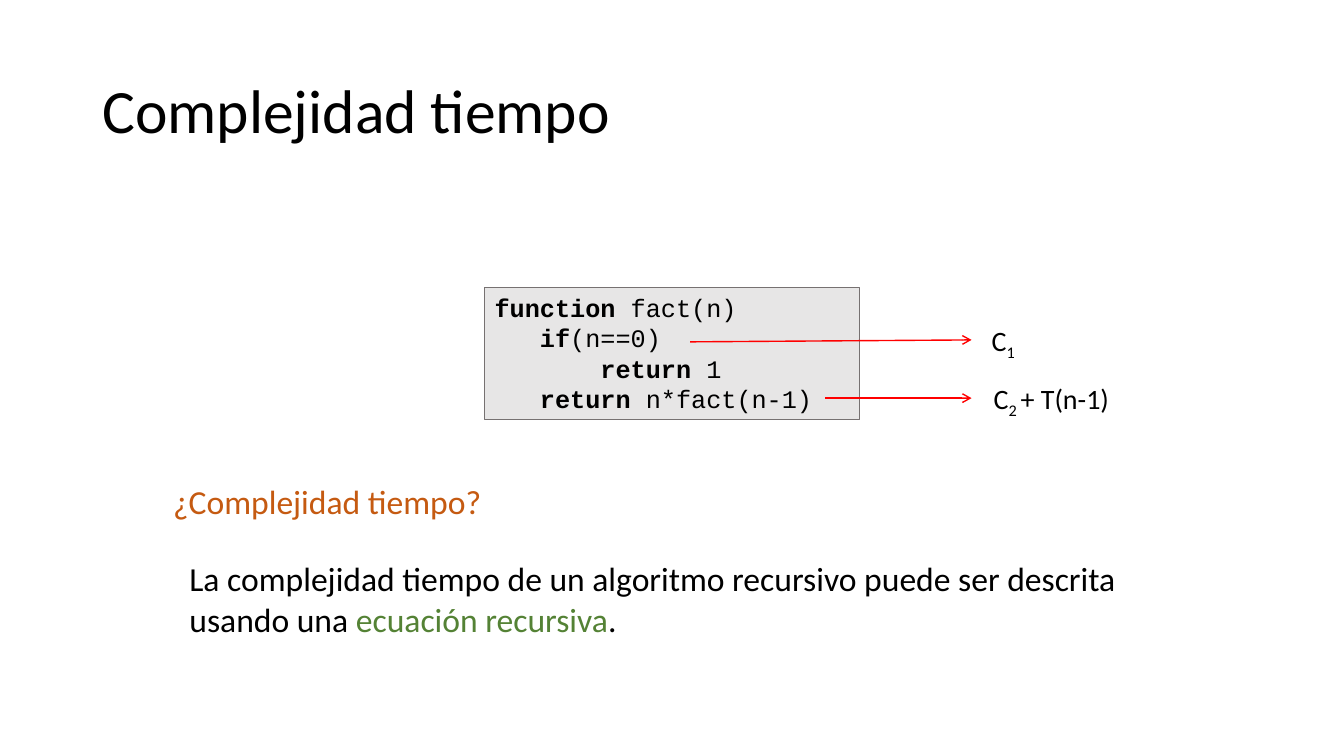
import pptx
import pptx.util
import pptx.dml.color
import pptx.enum.shapes
import pptx.enum.text
import pptx.oxml
import pptx.oxml.ns

Pt = pptx.util.Pt
Fit = pptx.enum.text.MSO_AUTO_SIZE
Anchor = pptx.enum.text.MSO_ANCHOR

COLORS = {
    "text": "000000", "panel": "E7E6E6", "border": "767171",
    "arrow": "FF0000", "question": "C55A11", "term": "548235",
}


class SlideBuilder:
    """Draws styled elements on the current slide."""

    def __init__(self, slide):
        self.slide = slide

    def color(self, name):
        return pptx.dml.color.RGBColor.from_string(COLORS[name])

    def fill_text(self, shape, lines, size, face="Calibri", anchor=Anchor.TOP,
                  wrap=True, fit=Fit.SHAPE_TO_FIT_TEXT):
        frame = shape.text_frame
        frame_format = {"word_wrap": wrap, "auto_size": fit, "vertical_anchor": anchor}
        for key, value in frame_format.items():
            setattr(frame, key, value)
        for index, line in enumerate(lines):
            paragraph = frame.add_paragraph() if index else frame.paragraphs[0]
            paragraph.alignment = pptx.enum.text.PP_ALIGN.LEFT
            for words, *style in line:
                run = paragraph.add_run()
                run.text = words
                font_format = {"name": face, "size": Pt(size), "bold": "bold" in style}
                for key, value in font_format.items():
                    setattr(run.font, key, value)
                tint = next((name for name in style if name in COLORS), "text")
                run.font.color.rgb = self.color(tint)
                if "sub" in style:
                    run.font._element.set("baseline", "-25000")

    def title(self, box, words):
        heading = self.slide.shapes.title
        for key, value in zip(("left", "top", "width", "height"), box):
            setattr(heading, key, Pt(value))
        self.fill_text(heading, [[(words,)]], 44, anchor=Anchor.MIDDLE, fit=Fit.NONE)
        heading.text_frame.paragraphs[0].line_spacing = 0.9

    def text(self, box, lines, size, wrap=True, parent=None):
        shapes = (parent or self.slide).shapes
        self.fill_text(shapes.add_textbox(*map(Pt, box)), lines, size, wrap=wrap)

    def code(self, box, lines):
        panel = self.slide.shapes.add_shape(
            pptx.enum.shapes.MSO_SHAPE.RECTANGLE, *map(Pt, box))
        panel.shadow.inherit = False
        panel.fill.solid()
        panel.fill.fore_color.rgb = self.color("panel")
        panel.line.color.rgb = self.color("border")
        panel.line.width = Pt(0.75)
        self.fill_text(panel, lines, 18, face="Courier New")

    def arrow(self, parent, start, end):
        connector = parent.shapes.add_connector(
            pptx.enum.shapes.MSO_CONNECTOR.STRAIGHT, *map(Pt, start + end))
        connector.line.color.rgb = self.color("arrow")
        connector.line.width = Pt(1)
        namespace = pptx.oxml.ns.nsdecls("a")
        connector.line._get_or_add_ln().append(
            pptx.oxml.parse_xml(f'<a:tailEnd {namespace} type="arrow"/>'))
        connector._element.spPr.append(
            pptx.oxml.parse_xml(f"<a:effectLst {namespace}/>"))

    def cost(self, start, end, box, terms):
        group = self.slide.shapes.add_group_shape()
        self.arrow(group, start, end)
        self.text(box, [terms], 20, wrap=False, parent=group)


def main():
    deck = pptx.Presentation()
    deck.slide_width, deck.slide_height = Pt(960), Pt(540)
    builder = SlideBuilder(deck.slides.add_slide(deck.slide_layouts[5]))

    builder.title((66, 28.75, 828, 104.4), "Complejidad tiempo")
    builder.code((346.2, 205.3, 267.8, 94.5), [
        [("function ", "bold"), ("fact(n)",)],
        [("   if", "bold"), ("(n==0)",)],
        [("       ",), ("return", "bold"), (" 1",)],
        [("   ",), ("return", "bold"), (" n*fact(n-1)",)],
    ])
    builder.text((116.6, 340, 236.9, 36.3),
                 [[("¿Complejidad tiempo?", "question")]], 24, wrap=False)
    builder.cost((493, 244.2), (694, 242.8), (701.3, 227.5, 32.4, 31.5),
                 [("C",), ("1", "sub")])
    builder.cost((589.5, 284.4), (694, 284.4), (702.7, 268.6, 98.6, 31.5),
                 [("C",), ("2 ", "sub"), ("+ T(n-1)",)])
    builder.text((128.2, 395.3, 704.2, 65.4), [[
        ("La complejidad tiempo de un algoritmo recursivo puede ser descrita usando una ",),
        ("ecuación recursiva", "term"), (".",),
    ]], 24)
    deck.save("out.pptx")


if __name__ == "__main__":
    main()
